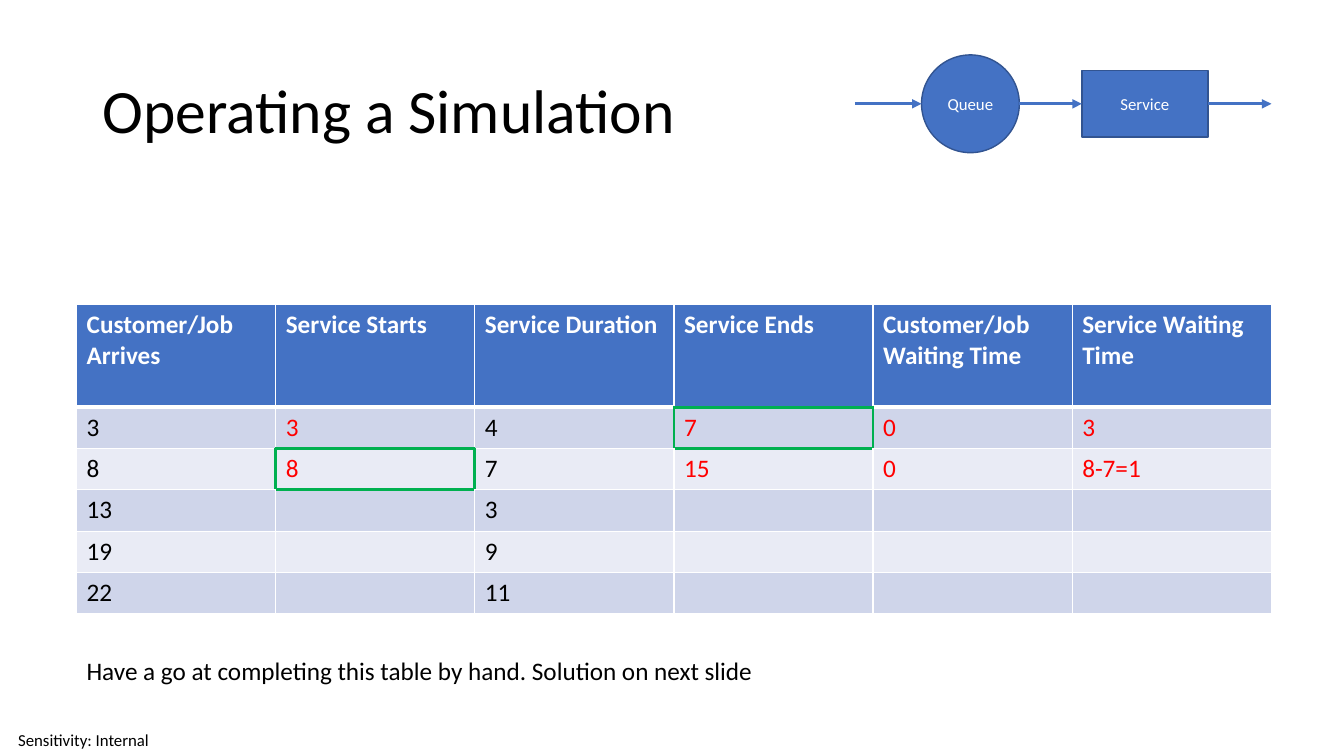
from lxml import etree
from pptx import Presentation
from pptx.dml.color import RGBColor
from pptx.enum import shapes, text
from pptx.oxml import ns
from pptx.util import Inches, Pt

BLACK = RGBColor(0x00, 0x00, 0x00)
WHITE = RGBColor(0xFF, 0xFF, 0xFF)
RED = RGBColor(0xFF, 0x00, 0x00)
GREEN = RGBColor(0x00, 0xB0, 0x50)
BLUE = RGBColor(0x44, 0x72, 0xC4)
DARK_BLUE = RGBColor(0x32, 0x54, 0x91)
DARK_BAND = RGBColor(0xCF, 0xD5, 0xEA)
LIGHT_BAND = RGBColor(0xE9, 0xEB, 0xF5)

FLOW_Y = 1.03
ROWS = [
    ["Customer/Job Arrives", "Service Starts", "Service Duration",
     "Service Ends", "Customer/Job Waiting Time", "Service Waiting Time"],
    ["3", "3", "4", "7", "0", "3"],
    ["8", "8", "7", "15", "0", "8-7=1"],
    ["13", "", "3", "", "", ""],
    ["19", "", "9", "", "", ""],
    ["22", "", "11", "", "", ""],
]
GIVEN_COLUMNS = (0, 2)
HIGHLIGHTED = {(1, 3), (2, 1)}
SIDES = {"lnL": (0, -1), "lnR": (0, 1), "lnT": (-1, 0), "lnB": (1, 0)}


def style_text(text_frame, size, color, bold=False):
    for paragraph in text_frame.paragraphs:
        paragraph.font.size = Pt(size)
        for run in paragraph.runs:
            run.font.name = "Calibri"
            run.font.size = Pt(size)
            run.font.bold = bold
            run.font.color.rgb = color


def add_text(slide, words, left, top, width, height, size, wrap=True,
             anchor=text.MSO_ANCHOR.MIDDLE):
    box = slide.shapes.add_textbox(
        Inches(left), Inches(top), Inches(width), Inches(height))
    frame = box.text_frame
    frame.text = words
    frame.word_wrap = wrap
    frame.vertical_anchor = anchor
    style_text(frame, size, BLACK)
    return frame


def add_node(slide, kind, label, left, width, height):
    shape = slide.shapes.add_shape(
        kind, Inches(left), Inches(FLOW_Y - height / 2),
        Inches(width), Inches(height))
    shape.shadow.inherit = False
    shape.fill.solid()
    shape.fill.fore_color.rgb = BLUE
    shape.line.color.rgb = DARK_BLUE
    shape.line.width = Pt(1)
    frame = shape.text_frame
    frame.text = label
    frame.vertical_anchor = text.MSO_ANCHOR.MIDDLE
    frame.paragraphs[0].alignment = text.PP_ALIGN.CENTER
    style_text(frame, 12, WHITE)
    return shape


def add_arrow(slide, start, end):
    arrow = slide.shapes.add_connector(
        shapes.MSO_CONNECTOR.STRAIGHT, Inches(start), Inches(FLOW_Y),
        Inches(end), Inches(FLOW_Y))
    arrow.line.color.rgb = BLUE
    arrow.line.width = Pt(2.25)
    line = arrow.line._get_or_add_ln()
    etree.SubElement(line, ns.qn("a:tailEnd"), type="triangle")
    etree.SubElement(arrow._element.spPr, ns.qn("a:effectLst"))
    return arrow


def add_border(cell, side, color, width):
    properties = cell._tc.get_or_add_tcPr()
    line = etree.SubElement(properties, ns.qn("a:" + side), w=str(Pt(width)))
    fill = etree.SubElement(line, ns.qn("a:solidFill"))
    etree.SubElement(fill, ns.qn("a:srgbClr"), val=str(color))


def border_style(row, column, side):
    row_step, column_step = SIDES[side]
    neighbour = (row + row_step, column + column_step)
    if HIGHLIGHTED & {(row, column), neighbour}:
        return GREEN, 2.25
    return WHITE, 3 if row == 0 and side == "lnB" else 1


def format_cell(cell, row, column):
    cell.text = ROWS[row][column]
    if row == 0:
        fill, color = BLUE, WHITE
    else:
        fill = DARK_BAND if row % 2 else LIGHT_BAND
        color = BLACK if column in GIVEN_COLUMNS else RED
    style_text(cell.text_frame, 18, color, bold=row == 0)
    for side in SIDES:
        add_border(cell, side, *border_style(row, column, side))
    cell.fill.solid()
    cell.fill.fore_color.rgb = fill


def add_schedule(slide):
    table = slide.shapes.add_table(
        len(ROWS), len(ROWS[0]), Inches(0.76), Inches(3.02),
        Inches(11.85), Inches(3.09)).table
    for row, table_row in enumerate(table.rows):
        table_row.height = Inches(0.41 if row else 1.02)
        for column, cell in enumerate(table_row.cells):
            format_cell(cell, row, column)


def add_flow(slide):
    add_node(slide, shapes.MSO_SHAPE.OVAL, "Queue", 9.14, 0.97, 0.97)
    service = add_node(
        slide, shapes.MSO_SHAPE.RECTANGLE, "Service", 10.73, 1.25, 0.66)
    add_arrow(slide, 8.48, 9.14)
    add_arrow(slide, 10.11, 10.73).end_connect(service, 1)
    add_arrow(slide, 11.98, 12.61).begin_connect(service, 3)


def main():
    presentation = Presentation()
    presentation.slide_width = Inches(13.33)
    presentation.slide_height = Inches(7.5)
    slide = presentation.slides.add_slide(presentation.slide_layouts[6])

    footer = add_text(slide, "Sensitivity: Internal", 0.18, 7.18, 1.48, 0.32, 12)
    footer.margin_left = footer.margin_right = 0
    footer.margin_top = footer.margin_bottom = 0
    title = add_text(slide, "Operating a Simulation", 0.92, 0.4, 11.5, 1.45, 44)
    title.paragraphs[0].line_spacing = 0.9
    add_flow(slide)
    add_schedule(slide)
    add_text(
        slide,
        "Have a go at completing this table by hand. Solution on next slide",
        0.76, 6.45, 6.89, 0.4, 18, wrap=False, anchor=text.MSO_ANCHOR.TOP)
    presentation.save("out.pptx")


if __name__ == "__main__":
    main()
